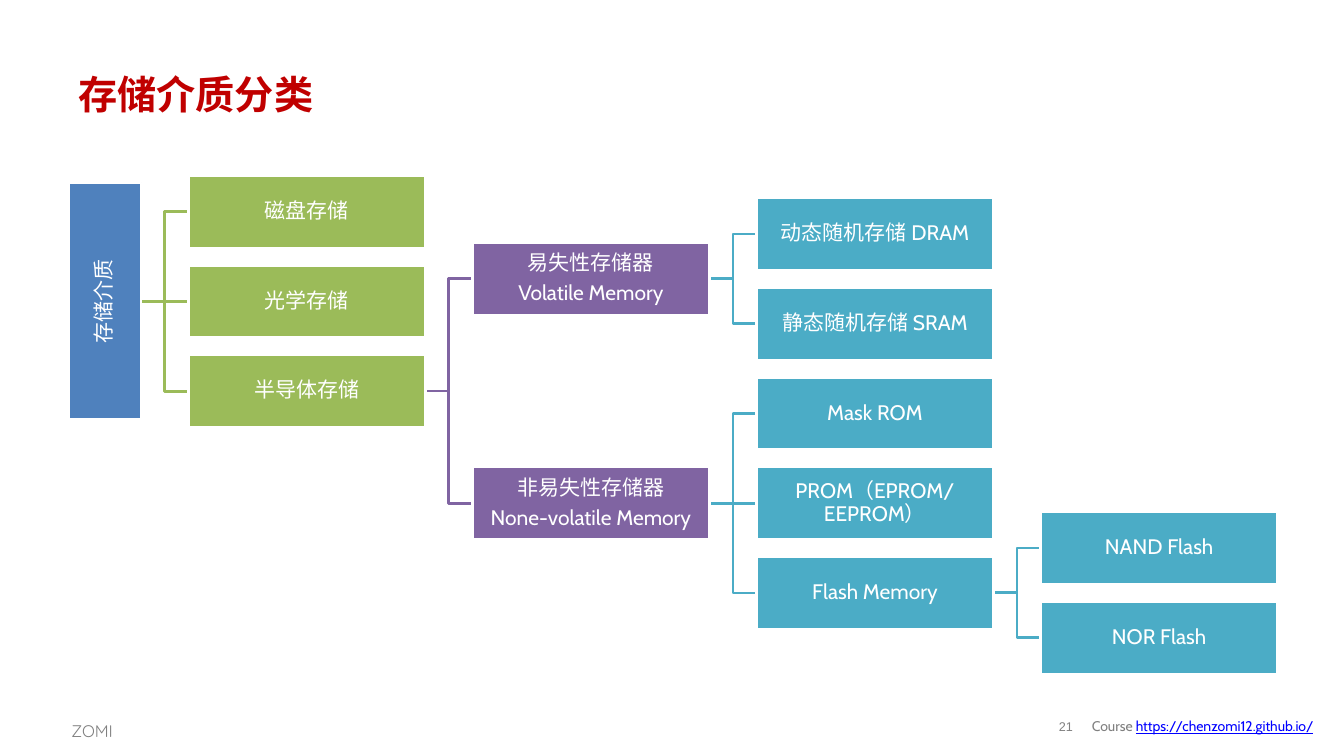
from dataclasses import dataclass
from typing import Iterator

import pptx
import pptx.dml.color
import pptx.enum.shapes
import pptx.enum.text
import pptx.util
from lxml import etree

Inches = pptx.util.Inches
Pt = pptx.util.Pt
ALIGN = pptx.enum.text.PP_ALIGN
ANCHOR = pptx.enum.text.MSO_ANCHOR


@dataclass(frozen=True)
class Theme:
    tiers: tuple[str, ...] = ("4F81BD", "9BBB59", "8064A2", "4BACC6", "4BACC6")
    white: str = "FFFFFF"
    title: str = "C00000"
    muted: str = "808080"
    link: str = "0000FF"
    title_size: int = 28
    node_size: int = 15
    author_size: int = 12
    course_size: int = 10
    page_size: int = 9
    line: int = 2
    body_font: str = "Cabin"
    display_font: str = "Quicksand"
    page_font: str = "Arial"


@dataclass(frozen=True)
class Grid:
    """Tree grid in inches; boxes fill a share of each row and column."""
    width: float = 13.34
    height: float = 7.5
    left: float = 1.87
    top: float = 1.74
    box_width: float = 2.35
    box_height: float = 0.72
    column: float = 2.82
    row: float = 0.89

    @property
    def gap(self) -> float:
        return self.column - self.box_width


@dataclass(frozen=True)
class Node:
    lines: tuple[str, ...]
    leaf_row: float = 0
    children: tuple["Node", ...] = ()

    @property
    def row(self) -> float:
        """A parent sits midway between its first and last child."""
        if not self.children:
            return self.leaf_row
        return (self.children[0].row + self.children[-1].row) / 2


@dataclass(frozen=True)
class Run:
    text: str
    size: int
    font: str
    color: str
    bold: bool = False
    underline: bool = False


@dataclass(frozen=True)
class Label:
    """Place is left, top, width and height in percent of the slide."""
    place: tuple[float, float, float, float]
    runs: tuple[Run, ...]
    anchor: ANCHOR = ANCHOR.MIDDLE
    align: ALIGN = ALIGN.LEFT
    spacing: float = 1.0
    inset: bool = True


THEME = Theme()
GRID = Grid()

FLASH = Node(("Flash Memory",), children=(
    Node(("NAND Flash",), 3.75), Node(("NOR Flash",), 4.75)))
VOLATILE = Node(("易失性存储器", "Volatile Memory"), children=(
    Node(("动态随机存储 DRAM",), 0.25), Node(("静态随机存储 SRAM",), 1.25)))
NON_VOLATILE = Node(("非易失性存储器", "None-volatile Memory"), children=(
    Node(("Mask ROM",), 2.25), Node(("PROM（EPROM/EEPROM）",), 3.25), FLASH))
STORAGE = Node(("存储介质",), children=(
    Node(("磁盘存储",), 0), Node(("光学存储",), 1),
    Node(("半导体存储",), children=(VOLATILE, NON_VOLATILE))))

LABELS = (
    Label((5.1, 8.13, 89.88, 8.53),
          (Run("存储介质分类", THEME.title_size, THEME.display_font, THEME.title, bold=True),)),
    Label((77.96, 94.13, 2.7, 4.13),
          (Run("21", THEME.page_size, THEME.page_font, THEME.muted),),
          align=ALIGN.CENTER, spacing=0.85, inset=False),
    Label((4.57, 94.13, 6, 4.27),
          (Run("ZOMI", THEME.author_size, THEME.display_font, THEME.muted),),
          anchor=ANCHOR.TOP, spacing=1.2),
    Label((80.51, 94.13, 18.44, 3.87),
          (Run("Course ", THEME.course_size, THEME.body_font, THEME.muted),
           Run("https://chenzomi12.github.io/", THEME.course_size, THEME.body_font,
               THEME.link, underline=True))),
)


def rgb(color: str) -> pptx.dml.color.RGBColor:
    return pptx.dml.color.RGBColor.from_string(color)


def add_run(paragraph, spec: Run) -> None:
    run = paragraph.add_run()
    run.text = spec.text
    run.font.size = Pt(spec.size)
    run.font.name = spec.font
    run.font.color.rgb = rgb(spec.color)
    run.font.bold = spec.bold
    run.font.underline = spec.underline


def set_insets(frame, inset: float) -> None:
    frame.margin_left = frame.margin_right = Inches(inset)
    frame.margin_top = frame.margin_bottom = Inches(inset)


def draw_label(slide, label: Label) -> None:
    left, top, width, height = label.place
    box = slide.shapes.add_textbox(
        Inches(left * GRID.width / 100), Inches(top * GRID.height / 100),
        Inches(width * GRID.width / 100), Inches(height * GRID.height / 100))
    frame = box.text_frame
    frame.word_wrap = True
    frame.vertical_anchor = label.anchor
    if not label.inset:
        set_insets(frame, 0)
    paragraph = frame.paragraphs[0]
    paragraph.alignment = label.align
    paragraph.line_spacing = label.spacing
    for run in label.runs:
        add_run(paragraph, run)


def walk(node: Node, depth: int = 0) -> Iterator[tuple[Node, int]]:
    yield node, depth
    for child in node.children:
        yield from walk(child, depth + 1)


def column_left(depth: int) -> float:
    return GRID.left + (depth - 1) * GRID.column


def row_middle(node: Node) -> float:
    return GRID.top + node.row * GRID.row + GRID.box_height / 2


def draw_branch(slide, parent: Node, child: Node, depth: int) -> None:
    """Join a parent to a child at the given depth, bending midway if needed."""
    end_x = Inches(column_left(depth))
    start_x, bend_x = end_x - Inches(GRID.gap), end_x - Inches(GRID.gap / 2)
    start_y, end_y = Inches(row_middle(parent)), Inches(row_middle(child))
    if parent.row == child.row:
        branch = slide.shapes.add_connector(
            pptx.enum.shapes.MSO_CONNECTOR.STRAIGHT, start_x, start_y, end_x, end_y)
        etree.SubElement(branch.line._get_or_add_ln().getparent(),
                         pptx.oxml.ns.qn("a:effectLst"))
    else:
        outline = slide.shapes.build_freeform(start_x, start_y)
        outline.add_line_segments(
            [(bend_x, start_y), (bend_x, end_y), (end_x, end_y)], close=False)
        branch = outline.convert_to_shape()
        branch.fill.background()
        branch.shadow.inherit = False
    branch.line.color.rgb = rgb(THEME.tiers[depth])
    branch.line.width = Pt(THEME.line)


def draw_node(slide, node: Node, depth: int) -> None:
    """Draw a box; the root is turned upright beside the first column."""
    left = column_left(depth)
    if depth == 0:
        left = GRID.left - GRID.gap - (GRID.box_height + GRID.box_width) / 2
    box = slide.shapes.add_shape(
        pptx.enum.shapes.MSO_SHAPE.RECTANGLE, Inches(left),
        Inches(row_middle(node) - GRID.box_height / 2),
        Inches(GRID.box_width), Inches(GRID.box_height))
    box.rotation = 270 if depth == 0 else 0
    box.shadow.inherit = False
    box.fill.solid()
    box.fill.fore_color.rgb = rgb(THEME.tiers[depth])
    box.line.color.rgb = rgb(THEME.white)
    box.line.width = Pt(THEME.line)
    frame = box.text_frame
    frame.word_wrap = True
    frame.vertical_anchor = ANCHOR.MIDDLE
    set_insets(frame, 0.01)
    for index, line in enumerate(node.lines):
        paragraph = frame.add_paragraph() if index else frame.paragraphs[0]
        paragraph.alignment = ALIGN.CENTER
        paragraph.line_spacing = 0.9
        paragraph.space_after = Pt(0.35 * THEME.node_size)
        add_run(paragraph, Run(line, THEME.node_size, THEME.body_font, THEME.white))


def main() -> None:
    deck = pptx.Presentation()
    deck.slide_width, deck.slide_height = Inches(GRID.width), Inches(GRID.height)
    slide = deck.slides.add_slide(deck.slide_layouts[6])
    for label in LABELS:
        draw_label(slide, label)
    for node, depth in walk(STORAGE):
        for child in node.children:
            draw_branch(slide, node, child, depth + 1)
    for node, depth in walk(STORAGE):
        draw_node(slide, node, depth)
    deck.save("out.pptx")


if __name__ == "__main__":
    main()
